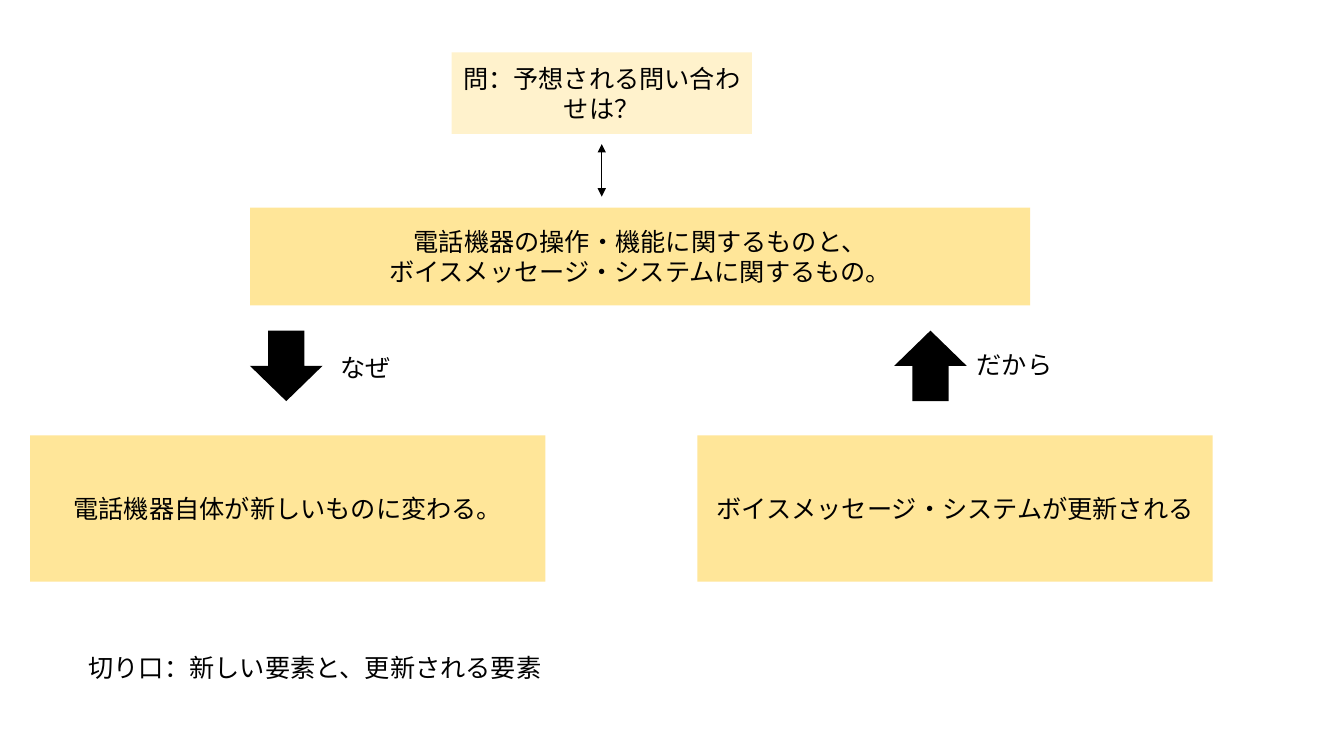
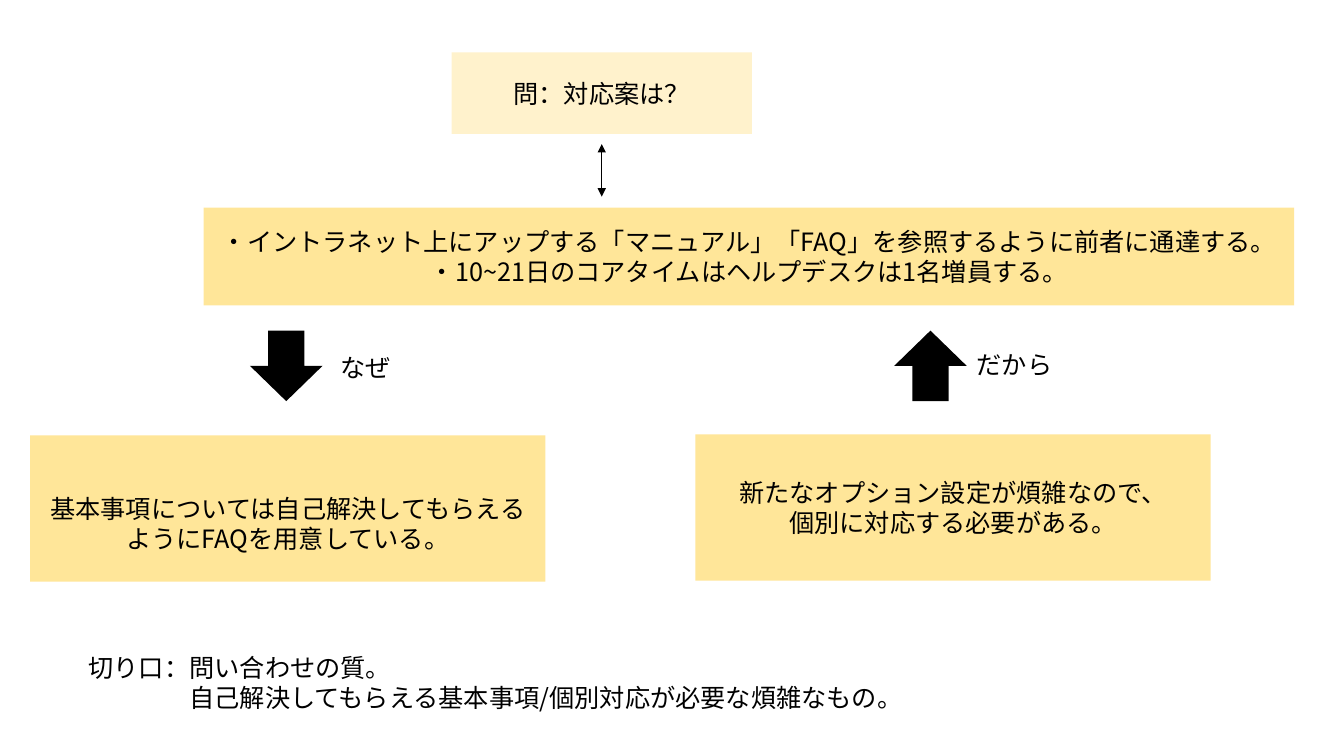
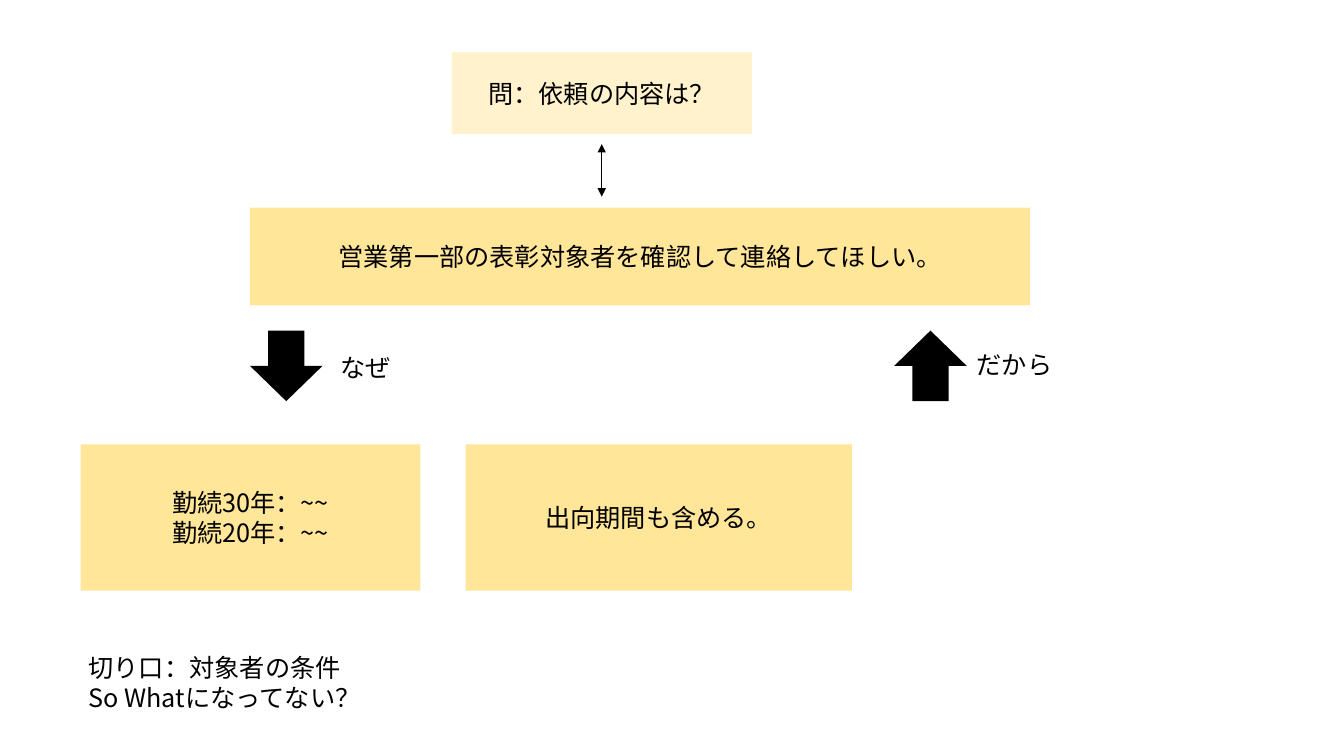
import pptx
import pptx.util
import pptx.dml.color
import pptx.enum.shapes
import pptx.enum.text
import pptx.oxml.ns
import lxml.etree

RGB = pptx.dml.color.RGBColor
SHAPES = pptx.enum.shapes.MSO_SHAPE
ALIGN = pptx.enum.text.PP_ALIGN
ANCHOR = pptx.enum.text.MSO_ANCHOR
qn = pptx.oxml.ns.qn

BLACK = RGB(0x00, 0x00, 0x00)
CREAM = RGB(0xFF, 0xF2, 0xCC)
YELLOW = RGB(0xFF, 0xE6, 0x99)
FONT = "Noto Sans CJK JP"
TEXT_SIZE = pptx.util.Pt(18)
LINE_HEIGHT = pptx.util.Inches(0.3)
INSET = pptx.util.Inches(0.05)
WIDTH, HEIGHT = pptx.util.Inches(13.33), pptx.util.Inches(7.5)

# Places are left, top, width, height in percent of the slide's size.
QUESTION = (33.6, 6.93, 22.35, 10.8)
LINK_TOP, LINK_BOTTOM = 19.07, 26
ANSWER = (18.6, 27.47, 58.05, 12.93)
WIDE_ANSWER = (15.15, 27.47, 81.15, 12.93)
LEFT_REASON = (2.25, 57.6, 38.33, 19.33)
RIGHT_REASON = (51.9, 57.6, 38.33, 19.33)
NOTE_LEFT, NOTE_TOP = 5.85, 85.6
NOTE_HEIGHTS = {1: 5.33, 2: 9.47}

# Block arrows: place, rotation
ARROWS = [
    ((18.6, 43.73, 5.4, 9.33), 0),
    ((66.53, 43.73, 5.4, 9.33), 180),
]
LABELS = [
    ("なぜ", (24.6, 46, 5.4, 5.33)),
    ("だから", (71.93, 45.6, 12.15, 5.33)),
]

# Reasons: lines, place, lines of room kept above the text
SLIDES = [
    {
        "question": "問：予想される問い合わせは？",
        "answer": ["電話機器の操作・機能に関するものと、",
                   "ボイスメッセージ・システムに関するもの。"],
        "answer_place": ANSWER,
        "reasons": [
            (["電話機器自体が新しいものに変わる。"], LEFT_REASON, 0),
            (["ボイスメッセージ・システムが更新される"], RIGHT_REASON, 0),
        ],
        "note": ["切り口：新しい要素と、更新される要素"],
        "note_width": 55.5,
        "note_indent": 0,
    },
    {
        "question": "問：対応案は？",
        "answer": ["・イントラネット上にアップする「マニュアル」「FAQ」を参照するように前者に通達する。",
                   "・10~21日のコアタイムはヘルプデスクは1名増員する。"],
        "answer_place": WIDE_ANSWER,
        "reasons": [
            (["基本事項については自己解決してもらえるようにFAQを用意している。"], LEFT_REASON, 1),
            (["新たなオプション設定が煩雑なので、", "個別に対応する必要がある。"],
             (51.75, 57.47, 38.33, 19.33), 0),
        ],
        "note": ["切り口：問い合わせの質。",
                 "自己解決してもらえる基本事項/個別対応が必要な煩雑なもの。"],
        "note_width": 66.15,
        "note_indent": 4,
    },
    {
        "question": "問：依頼の内容は？",
        "answer": ["営業第一部の表彰対象者を確認して連絡してほしい。"],
        "answer_place": ANSWER,
        "reasons": [
            (["勤続30年：~~", "勤続20年：~~"], (6, 58.8, 25.28, 19.33), 0),
            (["出向期間も含める。"], (34.65, 58.8, 28.73, 19.33), 0),
        ],
        "note": ["切り口：対象者の条件", "So Whatになってない？"],
        "note_width": 55.5,
        "note_indent": 0,
    },
]


def across(share):
    """Turn a percentage of the slide's width into a length."""
    return int(WIDTH * share / 100)


def down(share):
    """Turn a percentage of the slide's height into a length."""
    return int(HEIGHT * share / 100)


def locate(place):
    """Turn a place in percent into left, top, width and height."""
    left, top, width, height = place
    return across(left), down(top), across(width), down(height)


def write(shape, lines, align, anchor):
    """Write each line as one paragraph in the shared text style."""
    frame = shape.text_frame
    frame.word_wrap = True
    frame.auto_size = pptx.enum.text.MSO_AUTO_SIZE.NONE
    frame.vertical_anchor = anchor
    frame.margin_left = frame.margin_right = 2 * INSET
    frame.margin_top = frame.margin_bottom = INSET
    for number, line in enumerate(lines):
        para = frame.add_paragraph() if number else frame.paragraphs[0]
        para.alignment = align
        span = para.add_run()
        span.text = line
        span.font.size = TEXT_SIZE
        span.font.name = FONT
        span.font.color.rgb = BLACK
        east_asian = lxml.etree.SubElement(span.font._element, qn("a:ea"))
        east_asian.set("typeface", FONT)
    return frame


def paint(shape, colour):
    """Give a shape a plain fill without outline."""
    shape.fill.solid()
    shape.fill.fore_color.rgb = colour
    shape.line.fill.background()


def add_block(page, kind, place, colour):
    """Add a flat preset shape."""
    block = page.shapes.add_shape(kind, *locate(place))
    block.shadow.inherit = False
    paint(block, colour)
    return block


def add_box(page, lines, place, lines_above=0):
    """Add a yellow box with centred text."""
    box = add_block(page, SHAPES.RECTANGLE, place, YELLOW)
    frame = write(box, lines, ALIGN.CENTER, ANCHOR.MIDDLE)
    frame.margin_top = INSET + lines_above * LINE_HEIGHT


def add_text(page, lines, place):
    """Add left-aligned text without a box around it."""
    box = page.shapes.add_textbox(*locate(place))
    return write(box, lines, ALIGN.LEFT, ANCHOR.TOP)


def add_question(page, text):
    """Format the title as the question box."""
    title = page.shapes.title
    title.left, title.top, title.width, title.height = locate(QUESTION)
    paint(title, CREAM)
    write(title, [text], ALIGN.CENTER, ANCHOR.MIDDLE)


def add_link(page):
    """Add the two-headed arrow between question and answer."""
    middle = across(QUESTION[0] + QUESTION[2] / 2)
    link = page.shapes.add_connector(
        pptx.enum.shapes.MSO_CONNECTOR.STRAIGHT,
        middle, down(LINK_TOP), middle, down(LINK_BOTTOM))
    link.line.color.rgb = BLACK
    link.line.width = pptx.util.Pt(0.5)
    outline = link.line._get_or_add_ln()
    for end in ("a:headEnd", "a:tailEnd"):
        lxml.etree.SubElement(outline, qn(end)).set("type", "triangle")
    lxml.etree.SubElement(link._element.spPr, qn("a:effectLst"))


def add_note(page, lines, width, indent):
    """Add the closing note, later lines indented by whole characters."""
    place = (NOTE_LEFT, NOTE_TOP, width, NOTE_HEIGHTS[len(lines)])
    frame = add_text(page, lines, place)
    if indent:
        for para in frame.paragraphs[1:]:
            properties = para._p.get_or_add_pPr()
            properties.set("marL", str(indent * TEXT_SIZE))
            properties.set("indent", "0")


def add_page(deck, content):
    """Build one question-and-answer slide."""
    page = deck.slides.add_slide(deck.slide_layouts[5])
    add_question(page, content["question"])
    add_link(page)
    add_box(page, content["answer"], content["answer_place"])
    for place, rotation in ARROWS:
        add_block(page, SHAPES.DOWN_ARROW, place, BLACK).rotation = rotation
    for lines, place, lines_above in content["reasons"]:
        add_box(page, lines, place, lines_above)
    for text, place in LABELS:
        add_text(page, [text], place)
    add_note(page, content["note"], content["note_width"], content["note_indent"])


deck = pptx.Presentation()
deck.slide_width, deck.slide_height = WIDTH, HEIGHT
for content in SLIDES:
    add_page(deck, content)
deck.save("out.pptx")
